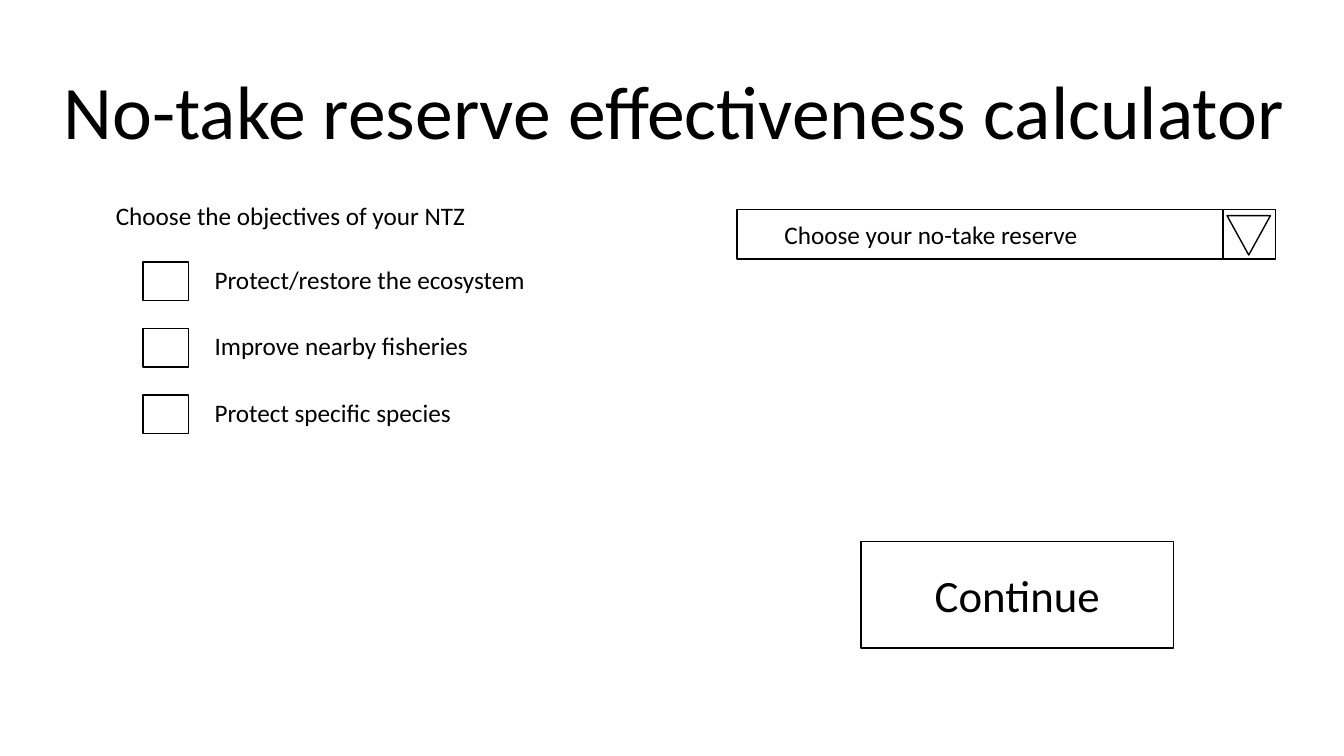
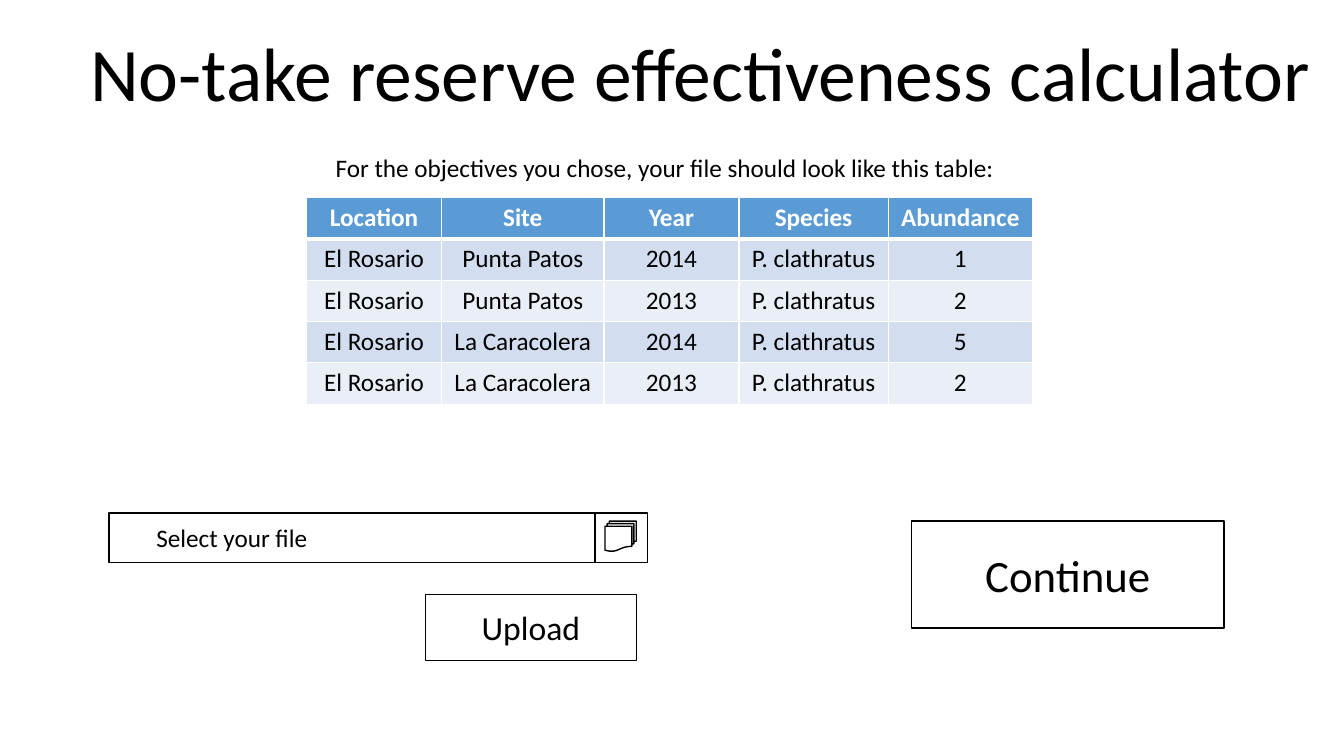
from lxml.etree import SubElement
from pptx import Presentation
from pptx.dml.color import RGBColor
from pptx.enum.shapes import MSO_SHAPE as Shape
from pptx.enum.text import MSO_ANCHOR as Anchor, MSO_AUTO_SIZE as AutoSize, PP_ALIGN as Align
from pptx.oxml.ns import qn
from pptx.util import Inches, Pt

BLACK = RGBColor(0x00, 0x00, 0x00)
WHITE = RGBColor(0xFF, 0xFF, 0xFF)
HEADER_BLUE = RGBColor(0x5B, 0x9B, 0xD5)
BAND_DARK = RGBColor(0xD2, 0xDE, 0xEF)
BAND_LIGHT = RGBColor(0xEA, 0xEF, 0xF7)


class Wireframe:
    """Holds the deck, its style and the current page."""

    font = "Calibri"
    title = "No-take reserve effectiveness calculator"
    title_size, body_size, button_size = 54, 18, 32
    line_width = 1

    def __init__(self):
        """Start a widescreen deck."""
        self.deck = Presentation()
        self.deck.slide_width = Inches(13.33)
        self.deck.slide_height = Inches(7.5)
        self.page = None

    def new_page(self, title_left, title_top):
        """Add a blank page with the shared title."""
        self.page = self.deck.slides.add_slide(self.deck.slide_layouts[6])
        self.text(self.title, title_left, title_top, 12.45, 1.01,
                  self.title_size, Align.CENTER)

    def set_text(self, frame, words, size, align, color=BLACK, bold=False):
        """Put one styled paragraph into a text frame."""
        para = frame.paragraphs[0]
        para.text = words
        para.alignment = align
        para.font.name = self.font
        para.font.size = Pt(size)
        para.font.color.rgb = color
        para.font.bold = bold

    def text(self, words, left, top, width, height=0.4,
             size=body_size, align=Align.LEFT):
        """Add a single-line text box."""
        box = self.page.shapes.add_textbox(
            Inches(left), Inches(top), Inches(width), Inches(height))
        box.text_frame.word_wrap = False
        box.text_frame.auto_size = AutoSize.SHAPE_TO_FIT_TEXT
        self.set_text(box.text_frame, words, size, align)

    def outline(self, left, top, width, height, kind=Shape.RECTANGLE):
        """Add an unfilled shape with a thin black line."""
        shape = self.page.shapes.add_shape(
            kind, Inches(left), Inches(top), Inches(width), Inches(height))
        shape.shadow.inherit = False
        shape.fill.background()
        shape.line.color.rgb = BLACK
        shape.line.width = Pt(self.line_width)
        return shape

    def button(self, words, left, top, width=3.1, height=1.06, size=button_size):
        """Add a button with a centred caption."""
        frame = self.outline(left, top, width, height).text_frame
        frame.vertical_anchor = Anchor.MIDDLE
        self.set_text(frame, words, size, Align.CENTER)

    def checkbox(self, words, top, label_width):
        """Add a check box and the label beside it."""
        self.outline(1.42, top, 0.45, 0.38)
        self.text(words, 2.03, top - 0.03, label_width)

    def picker(self, prompt, left, top):
        """Add an input field that ends in a square icon cell."""
        width, height = 4.82, 0.49
        frame = self.outline(left, top, width, height).text_frame
        frame.margin_left = Inches(0.47)
        frame.vertical_anchor = Anchor.MIDDLE
        self.set_text(frame, prompt, self.body_size, Align.LEFT)
        self.outline(left + width, top, 0.52, height)

    def border(self, cell, bottom_width):
        """Draw white borders around a table cell."""
        props = cell._tc.get_or_add_tcPr()
        for side, width in (("L", 1), ("R", 1), ("T", 1), ("B", bottom_width)):
            line = SubElement(props, qn(f"a:ln{side}"), w=str(Pt(width)))
            fill = SubElement(line, qn("a:solidFill"))
            SubElement(fill, qn("a:srgbClr"), val=str(WHITE))

    def table(self, rows, left, top, widths, row_height):
        """Add a banded table whose first row is the header."""
        grid = self.page.shapes.add_table(
            len(rows), len(widths), Inches(left), Inches(top),
            Inches(sum(widths)), Inches(row_height * len(rows))).table
        for column, width in zip(grid.columns, widths):
            column.width = Inches(width)
        for r, row in enumerate(rows):
            header = r == 0
            band = HEADER_BLUE if header else BAND_DARK if r % 2 else BAND_LIGHT
            for c, words in enumerate(row):
                cell = grid.cell(r, c)
                self.border(cell, 3 if header else 1)
                cell.fill.solid()
                cell.fill.fore_color.rgb = band
                self.set_text(cell.text_frame, words, self.body_size, Align.CENTER,
                              WHITE if header else BLACK, header)


def objectives_page(frame):
    """Build the page for choosing objectives and a reserve."""
    frame.new_page(0.46, 0.58)
    frame.text("Choose the objectives of your NTZ", 1.05, 1.94, 3.71)
    objectives = (("Protect/restore the ecosystem", 3.31),
                  ("Improve nearby fisheries", 2.75),
                  ("Protect specific species", 2.57))
    for i, (words, width) in enumerate(objectives):
        frame.checkbox(words, 2.6 + 0.66 * i, width)
    frame.picker("Choose your no-take reserve", 7.31, 2.08)
    arrow = frame.outline(12.17, 2.14, 0.43, 0.39, Shape.ISOSCELES_TRIANGLE)
    arrow.rotation = 180
    frame.button("Continue", 8.54, 5.37)


def upload_page(frame):
    """Build the page for uploading a data file."""
    frame.new_page(0.72, 0.21)
    frame.picker("Select your file", 1.08, 5.09)
    frame.outline(6, 5.17, 0.31, 0.3, Shape.FLOWCHART_MULTIDOCUMENT)
    frame.button("Continue", 9.04, 5.17)
    frame.button("Upload", 4.22, 5.9, 2.09, 0.65, 24)
    frame.text("For the objectives you chose, your file should look like this table:",
               3.23, 1.46, 6.81)
    surveys = (("Punta Patos", "2014", "1"), ("Punta Patos", "2013", "2"),
               ("La Caracolera", "2014", "5"), ("La Caracolera", "2013", "2"))
    rows = [("Location", "Site", "Year", "Species", "Abundance")]
    rows += [("El Rosario", site, year, "P. clathratus", count)
             for site, year, count in surveys]
    frame.table(rows, 3.04, 1.96, (1.34, 1.61, 1.34, 1.48, 1.43), 0.41)


wireframe = Wireframe()
objectives_page(wireframe)
upload_page(wireframe)
wireframe.deck.save("out.pptx")
